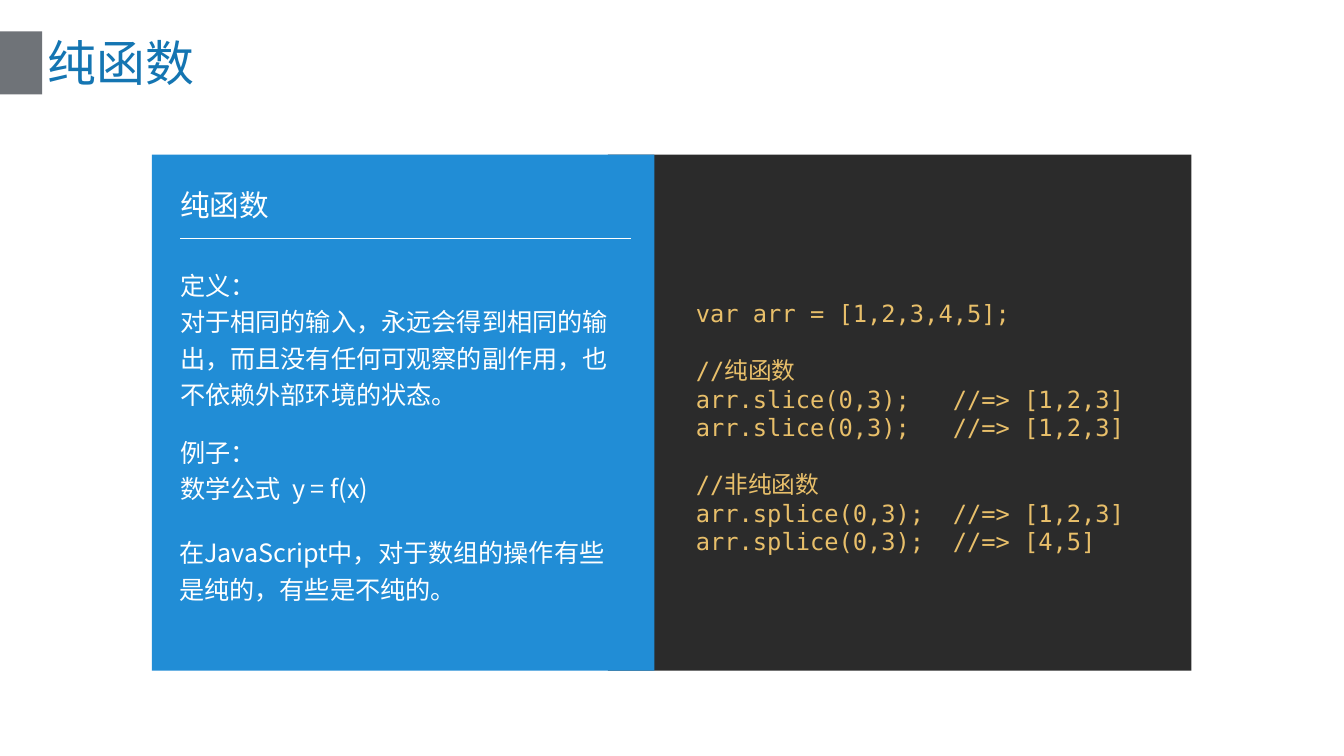
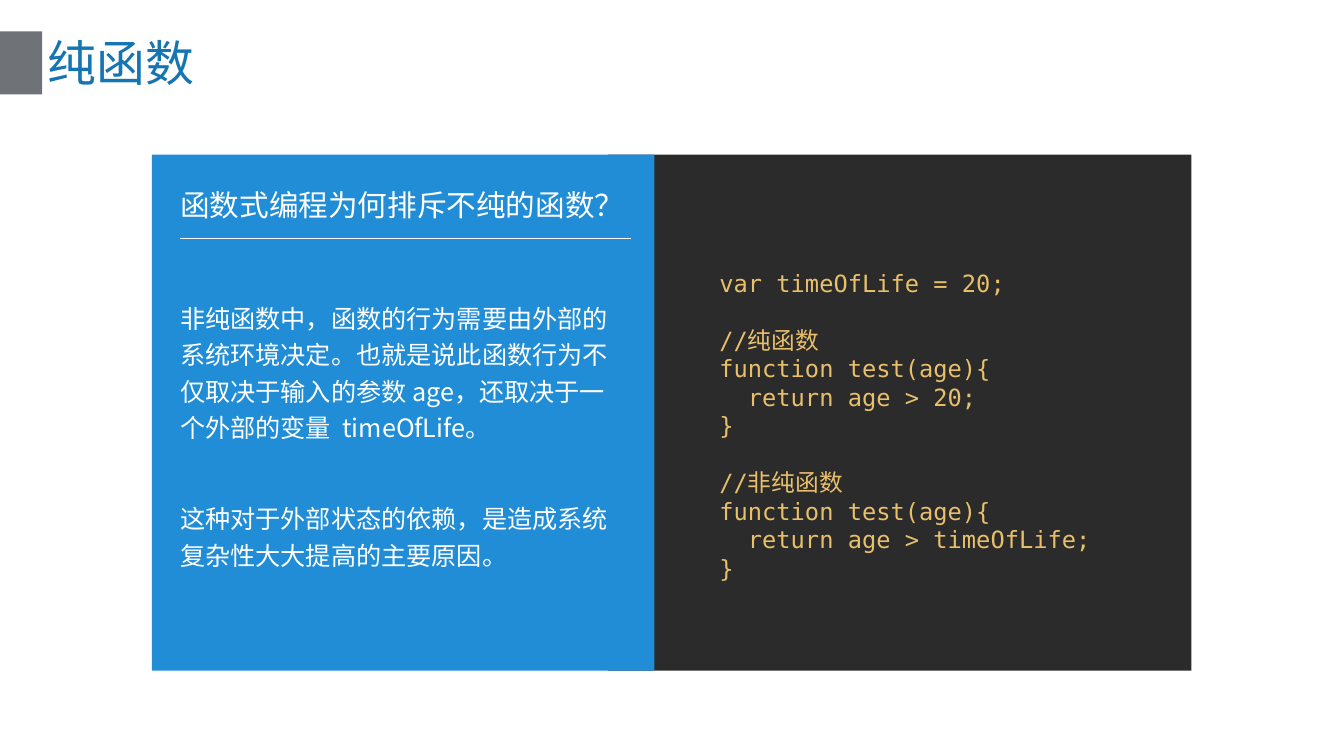
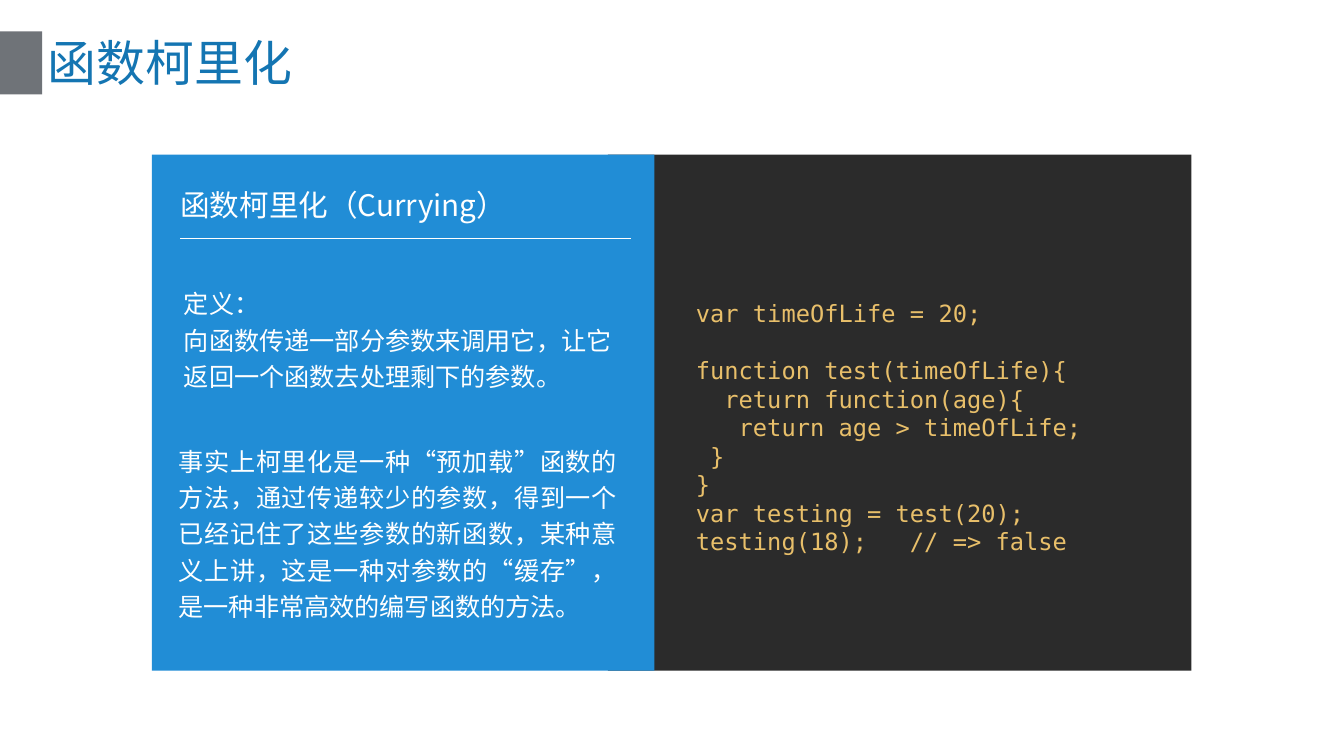
from lxml import etree
from pptx import Presentation
from pptx.dml.color import RGBColor
from pptx.enum.shapes import MSO_CONNECTOR, MSO_SHAPE
from pptx.enum.text import MSO_ANCHOR, PP_ALIGN
from pptx.oxml.ns import qn
from pptx.util import Inches, Pt

LINE, RECT = MSO_CONNECTOR.STRAIGHT, MSO_SHAPE.RECTANGLE
MID, TOP = MSO_ANCHOR.MIDDLE, MSO_ANCHOR.TOP
LEFT, JUST = PP_ALIGN.LEFT, PP_ALIGN.JUSTIFY
WIDE, HIGH = Inches(25.2), Inches(14.17)
COL, ROW = WIDE / 252, HIGH / 141.7
HUES = {"gray": "6F7378", "title": "1475B2", "dark": "2B2B2B",
        "blue": "218DD6", "white": "FFFFFF", "gold": "E8BF6A"}
SANS, MONO = "Noto Sans CJK SC", "DejaVu Sans Mono"
INSET = Inches(0.07)
PAD = {"margin_left": INSET, "margin_right": INSET,
       "margin_top": INSET, "margin_bottom": INSET}
STYLES = {
    "title": {"size": 66, "face": SANS, "hue": "title", "pitch": None,
              "frame": {"vertical_anchor": MID, "margin_top": 0, "margin_bottom": 0}},
    "head": {"size": 40, "face": SANS, "hue": "white", "pitch": None,
             "frame": {"vertical_anchor": MID, **PAD}},
    "note": {"size": 34, "face": SANS, "hue": "white", "pitch": 49,
             "frame": {"vertical_anchor": MID, **PAD}},
    "code": {"size": 32, "face": MONO, "hue": "gold", "pitch": 38.4,
             "frame": {"vertical_anchor": TOP}},
}
PANEL = (28.5, 29, 194.9, 96.7)
DECK = [
    {"title": "纯函数", "head": "纯函数",
     "notes": [
         ((4.6, 19.9, 84.4, 28.5), LEFT,
          ["定义：", "对于相同的输入，永远会得到相同的输出，而且没有任何可观察的副作用，也不依赖外部环境的状态。"]),
         ((4.6, 51.3, 83.7, 14.7), LEFT, ["例子：", "数学公式  y = f(x)"]),
         ((4.4, 70.1, 83.7, 14.7), LEFT,
          ["在JavaScript中，对于数组的操作有些是纯的，有些是不纯的。"])],
     "place": (101, 26.6, 94, 49.5),
     "code": """var arr = [1,2,3,4,5];

//纯函数
arr.slice(0,3);   //=> [1,2,3]
arr.slice(0,3);   //=> [1,2,3]

//非纯函数
arr.splice(0,3);  //=> [1,2,3]
arr.splice(0,3);  //=> [4,5]"""},
    {"title": "纯函数", "head": "函数式编程为何排斥不纯的函数？",
     "notes": [
         ((4.6, 26.1, 84.4, 28.5), LEFT,
          ["非纯函数中，函数的行为需要由外部的系统环境决定。也就是说此函数行为不仅取决于输入的参数 age，还取决于一个外部的变量  timeOfLife。"]),
         ((4.6, 63.7, 83.7, 14.7), LEFT,
          ["这种对于外部状态的依赖，是造成系统复杂性大大提高的主要原因。"])],
     "place": (105.4, 20.9, 89.6, 60.2),
     "code": """var timeOfLife = 20;

//纯函数
function test(age){
  return age > 20;
}

//非纯函数
function test(age){
  return age > timeOfLife;
}"""},
    {"title": "函数柯里化", "head": "函数柯里化（Currying）",
     "notes": [
         ((5.3, 23.4, 84.4, 21.6), LEFT,
          ["定义：", "向函数传递一部分参数来调用它，让它返回一个函数去处理剩下的参数。"]),
         ((4.3, 52.8, 83.7, 35.3), JUST,
          ["事实上柯里化是一种“预加载”函数的方法，通过传递较少的参数，得到一个已经记住了这些参数的新函数，某种意义上讲，这是一种对参数的“缓存”，是一种非常高效的编写函数的方法。"])],
     "place": (101, 26.6, 94, 49.5),
     "code": """var timeOfLife = 20;

function test(timeOfLife){
  return function(age){
   return age > timeOfLife;
 }
}
var testing = test(20);
testing(18);   // => false"""},
]


def paint(name):
    """Return the named colour."""
    return RGBColor.from_string(HUES[name])


def grid(box, part):
    """Turn a part of a box, in columns and rows, into slide lengths."""
    x, y, w, h = part
    return (round((box[0] + x) * COL), round((box[1] + y) * ROW),
            round(w * COL), round(h * ROW))


def put(item, values):
    """Set attributes from a dict."""
    for key, value in values.items():
        setattr(item, key, value)


def write(frame, lines, kind, align=LEFT):
    """Fill a frame with styled lines; an empty line becomes spacing."""
    style = STYLES[kind]
    put(frame, {"word_wrap": True, **style["frame"]})
    para, gap = frame.paragraphs[0], 0
    for line in lines:
        if not line:
            gap = style["pitch"]
            continue
        para = para if not para.runs else frame.add_paragraph()
        pitch = style["pitch"]
        put(para, {"alignment": align, "space_before": Pt(gap),
                   "line_spacing": Pt(pitch) if pitch else 1.0})
        run = para.add_run()
        run.text = line
        put(run.font, {"size": Pt(style["size"]), "name": style["face"], "bold": False})
        run.font.color.rgb = paint(style["hue"])
        face = etree.SubElement(run.font._element, qn("a:ea"))
        face.set("typeface", SANS)
        gap = 0


def block(slide, box, part, hue):
    """Draw a plain filled rectangle."""
    shape = slide.shapes.add_shape(RECT, *grid(box, part))
    shape.shadow.inherit = False
    shape.fill.solid()
    shape.fill.fore_color.rgb = paint(hue)
    shape.line.fill.background()
    return shape


def label(slide, box, part, lines, kind, align=LEFT):
    """Place a text box within a box."""
    frame = slide.shapes.add_textbox(*grid(box, part)).text_frame
    write(frame, lines, kind, align)


def rule(slide, box, part):
    """Draw a thin white line across a box."""
    x, y, w, h = grid(box, part)
    line = slide.shapes.add_connector(LINE, x, y, x + w, y + h)
    line.line.color.rgb = paint("white")
    line.line.width = Pt(1)
    etree.SubElement(line._element.spPr, qn("a:effectLst"))


def brand(prs, layout):
    """Give the layout its title place and gray band."""
    spot = grid((0, 0), (7.9, 5.7, 236.2, 12))
    put(layout.placeholders[0], dict(zip(("left", "top", "width", "height"), spot)))
    slide = prs.slides.add_slide(layout)
    band = block(slide, (0, 0), (0, 5.9, 7.9, 11.8), "gray")
    layout.shapes._spTree.insert(2, band._element)
    return slide


def panel(slide, box, page):
    """Build the blue notes beside the dark code."""
    block(slide, box, (85.5, 0, 109.4, box[3]), "dark")
    block(slide, box, (0, 0, 94.2, box[3]), "blue")
    label(slide, box, (4.6, 5.3, 86, 8.2), [page["head"]], "head")
    rule(slide, box, (5.3, 15.6, 84.5, 0))
    for part, align, lines in page["notes"]:
        label(slide, box, part, lines, "note", align)
    label(slide, box, page["place"], page["code"].split("\n"), "code")


def main():
    """Build and save the deck."""
    prs = Presentation()
    put(prs, {"slide_width": WIDE, "slide_height": HIGH})
    layout = prs.slide_layouts[5]
    first = brand(prs, layout)
    for i, page in enumerate(DECK):
        slide = prs.slides.add_slide(layout) if i else first
        write(slide.shapes.title.text_frame, [page["title"]], "title")
        panel(slide, PANEL, page)
    prs.save("out.pptx")


if __name__ == "__main__":
    main()
